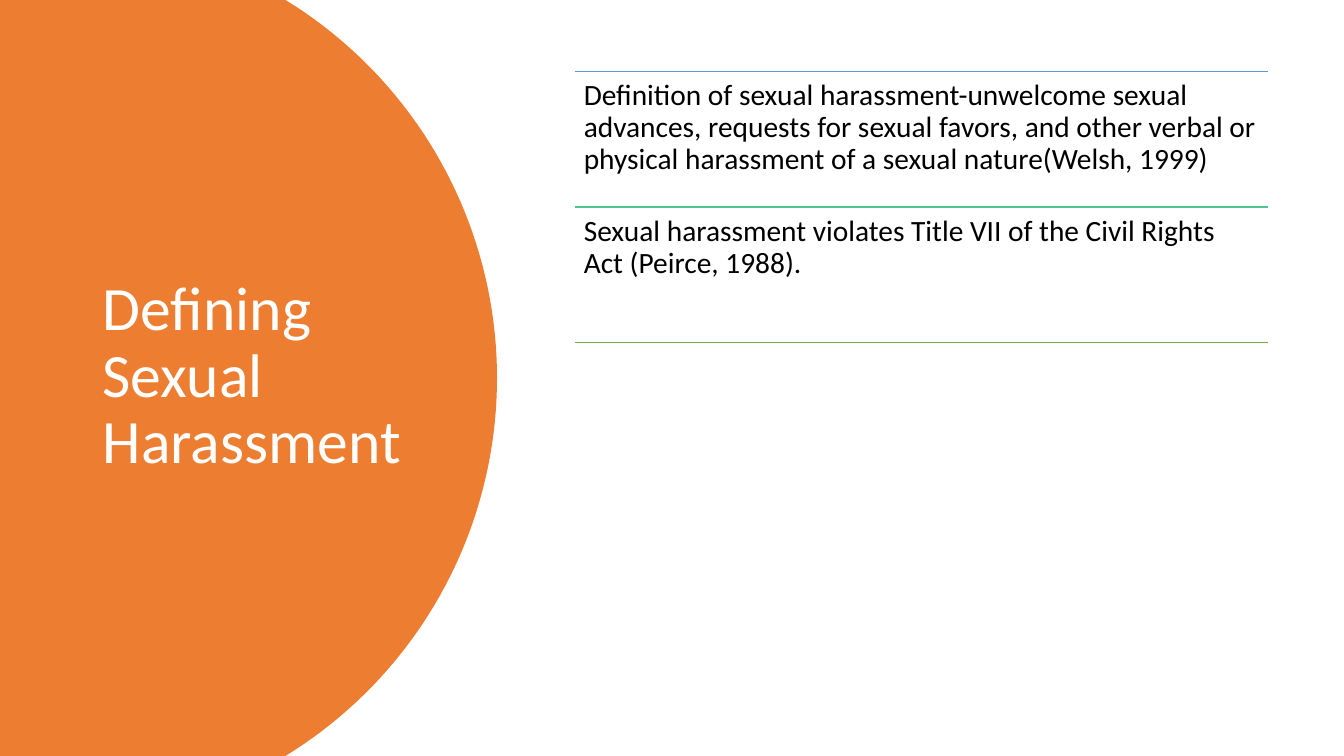
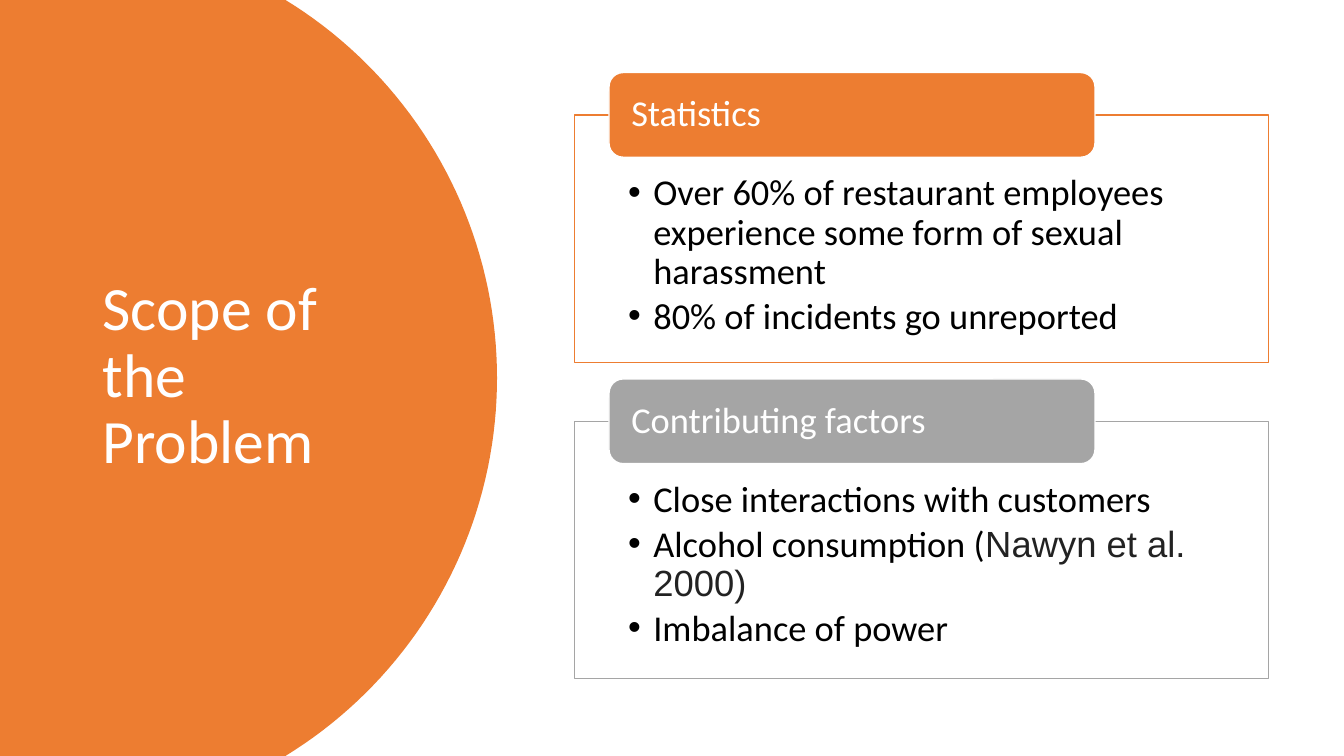
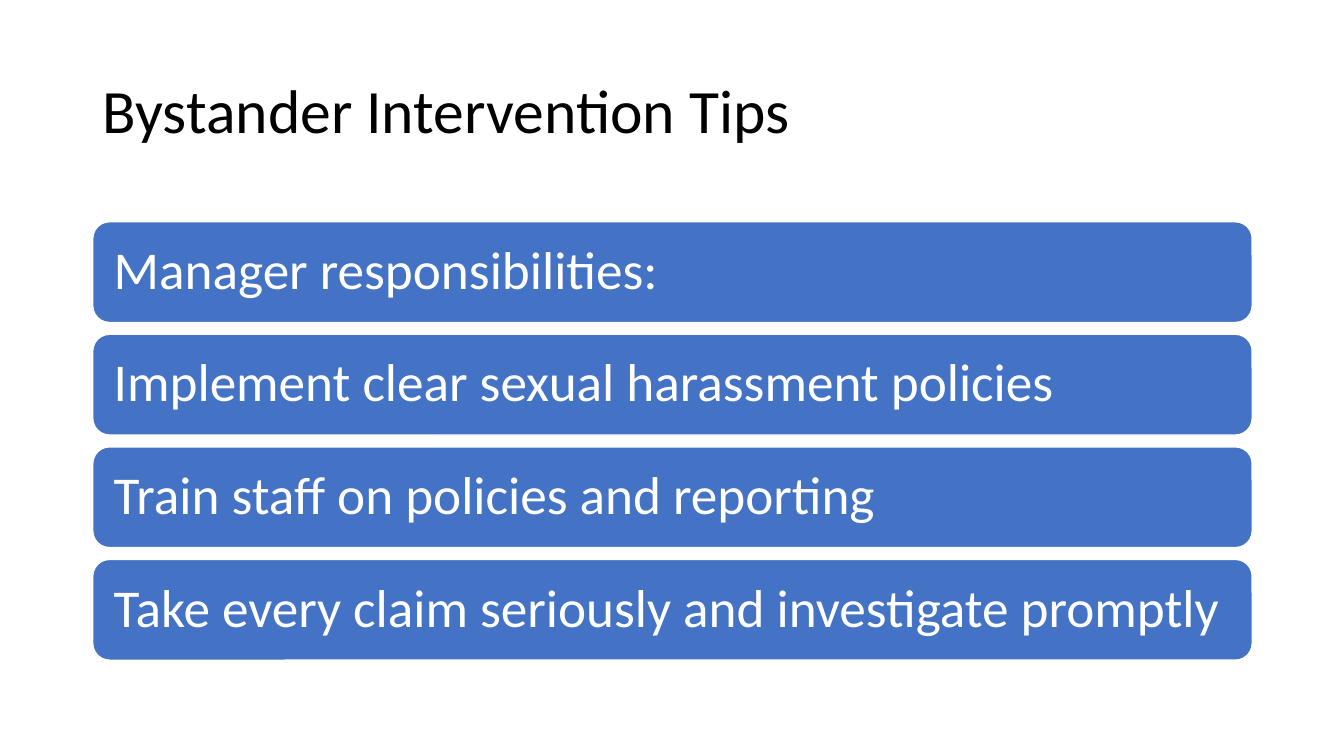
"""Build three training slides on sexual harassment at work."""
from math import asin, cos, sin

from lxml.etree import SubElement
from pptx import Presentation
from pptx.dml.color import RGBColor
from pptx.enum.shapes import MSO_CONNECTOR as Line, MSO_SHAPE as Shape
from pptx.enum.text import MSO_ANCHOR as Anchor, PP_ALIGN as Align
from pptx.oxml.ns import qn
from pptx.util import Inches, Pt

WHITE = RGBColor(0xFF, 0xFF, 0xFF)
BLACK = RGBColor(0, 0, 0)
ORANGE = RGBColor(0xED, 0x7D, 0x31)
GRAY = RGBColor(0xA5, 0xA5, 0xA5)
DARK = RGBColor(0x22, 0x22, 0x22)
BLUE = RGBColor(0x44, 0x72, 0xC4)
SKY = RGBColor(0x5B, 0x9B, 0xD5)
MINT = RGBColor(0x4D, 0xC5, 0x8D)
GREEN = RGBColor(0x70, 0xAD, 0x47)
FONT = "Calibri"
WIDE, HIGH = 13.33, 7.5
LEFT, SPAN = 5.7, 6.88

DEFINE = "Defining Sexual Harassment"
RULES = [SKY, MINT, GREEN]
TERMS = [
    "Definition of sexual harassment-unwelcome sexual advances, requests for sexual favors, "
    "and other verbal or physical harassment of a sexual nature(Welsh, 1999)",
    "Sexual harassment violates Title VII of the Civil Rights Act (Peirce, 1988).",
]

SCOPE = "Scope of the Problem"
CITE = "Nawyn et al. 2000)"
CARDS = [
    ("Statistics", ORANGE, 2.46, [
        "Over 60% of restaurant employees experience some form of sexual harassment",
        "80% of incidents go unreported",
    ]),
    ("Contributing factors", GRAY, 2.55, [
        "Close interactions with customers",
        "Alcohol consumption (" + CITE,
        "Imbalance of power",
    ]),
]

TIPS = "Bystander Intervention Tips"
BARS = [
    "Manager responsibilities:",
    "Implement clear sexual harassment policies",
    "Train staff on policies and reporting",
    "Take every claim seriously and investigate promptly",
]


def write(shape, lines, size, color, inset, anchor=Anchor.TOP, bullet=False):
    frame = shape.text_frame
    frame.word_wrap = True
    frame.vertical_anchor = anchor
    (frame.margin_left, frame.margin_top,
     frame.margin_right, frame.margin_bottom) = map(Inches, inset)
    frame.text = "\n".join(lines)
    for para in frame.paragraphs:
        para.alignment = Align.LEFT
        para.line_spacing = 0.9
        if bullet:
            para.space_after = Pt(4)
            props = para._p.get_or_add_pPr()
            props.set("marL", str(Inches(0.25)))
            props.set("indent", str(-Inches(0.25)))
            SubElement(props, qn("a:buFont")).set("typeface", "Arial")
            SubElement(props, qn("a:buChar")).set("char", "•")
        for run in para.runs:
            style(run, size, color)


def style(run, size, color, face=FONT):
    run.font.name = face
    run.font.size = Pt(size)
    run.font.color.rgb = color


def paint(shape, fill, line=None):
    shape.shadow.inherit = False
    shape.fill.solid()
    shape.fill.fore_color.rgb = fill
    if line is None:
        shape.line.fill.background()
    else:
        shape.line.color.rgb = line
        shape.line.width = Pt(1)


def add_box(slide, kind, place, fill, line):
    box = slide.shapes.add_shape(kind, *map(Inches, place))
    paint(box, fill, line)
    return box


def add_text(slide, text, place, size, color, inset, anchor=Anchor.TOP):
    box = slide.shapes.add_textbox(*map(Inches, place))
    write(box, [text], size, color, inset, anchor)


def add_title(slide, text, place, color):
    add_text(slide, text, place, 44, color, (0.1, 0.05, 0.1, 0.05), Anchor.MIDDLE)


def add_rule(slide, top, color):
    rule = slide.shapes.add_connector(
        Line.STRAIGHT, Inches(LEFT), Inches(top), Inches(LEFT + SPAN), Inches(top))
    rule.line.color.rgb = color
    rule.line.width = Pt(1)
    SubElement(rule._element.spPr, qn("a:effectLst"))


def add_side(slide, title):
    edge, radius, mid, steps = 4.93, 4.4, HIGH / 2, 80
    reach = asin(mid / radius)
    turns = [reach * (2 * i / steps - 1) for i in range(steps + 1)]
    arc = [(Inches(edge - radius + radius * cos(t)), Inches(mid + radius * sin(t)))
           for t in turns]
    pen = slide.shapes.build_freeform(0, 0)
    pen.add_line_segments(arc + [(0, Inches(HIGH))], close=True)
    paint(pen.convert_to_shape(), ORANGE)
    add_title(slide, title, (0.92, 0.7, 3.23, 6.09), WHITE)


def add_terms(slide):
    add_side(slide, DEFINE)
    top, end = 0.71, 3.4
    step = (end - top) / len(TERMS)
    for i, color in enumerate(RULES):
        add_rule(slide, top + i * step, color)
    for i, term in enumerate(TERMS):
        add_text(slide, term, (LEFT, top + i * step, SPAN, step), 21, BLACK, [0.09] * 4)


def add_cards(slide):
    add_side(slide, SCOPE)
    top, gap, tall = 1.14, 0.58, 0.84
    for head, color, high, points in CARDS:
        card = add_box(slide, Shape.RECTANGLE, (LEFT, top, SPAN, high), WHITE, color)
        write(card, points, 26, BLACK, (0.53, 0.59, 0.53, 0.2), bullet=True)
        for para in card.text_frame.paragraphs:
            if para.text.endswith(CITE):
                first = para.runs[0]
                first.text = first.text.removesuffix(CITE)
                cite = para.add_run()
                cite.text = CITE
                style(cite, 26, DARK, "Arial")
        label = add_box(slide, Shape.ROUNDED_RECTANGLE,
                        (6.04, top - tall / 2, 4.82, tall), color, WHITE)
        write(label, [head], 26, WHITE, (0.18, 0, 0.18, 0), Anchor.MIDDLE)
        top += high + gap


def add_bars(slide):
    left, top, wide, high, end = 0.92, 2.2, 11.5, 1, 6.55
    step = (end - high - top) / (len(BARS) - 1)
    add_title(slide, TIPS, (left, 0.4, wide, 1.45), BLACK)
    for i, text in enumerate(BARS):
        bar = add_box(slide, Shape.ROUNDED_RECTANGLE,
                      (left, top + i * step, wide, high), BLUE, WHITE)
        write(bar, [text], 38, WHITE, [0.16] * 4, Anchor.MIDDLE)


def main():
    deck = Presentation()
    deck.slide_width, deck.slide_height = Inches(WIDE), Inches(HIGH)
    for build in (add_terms, add_cards, add_bars):
        build(deck.slides.add_slide(deck.slide_layouts[6]))
    deck.save("out.pptx")


if __name__ == "__main__":
    main()
